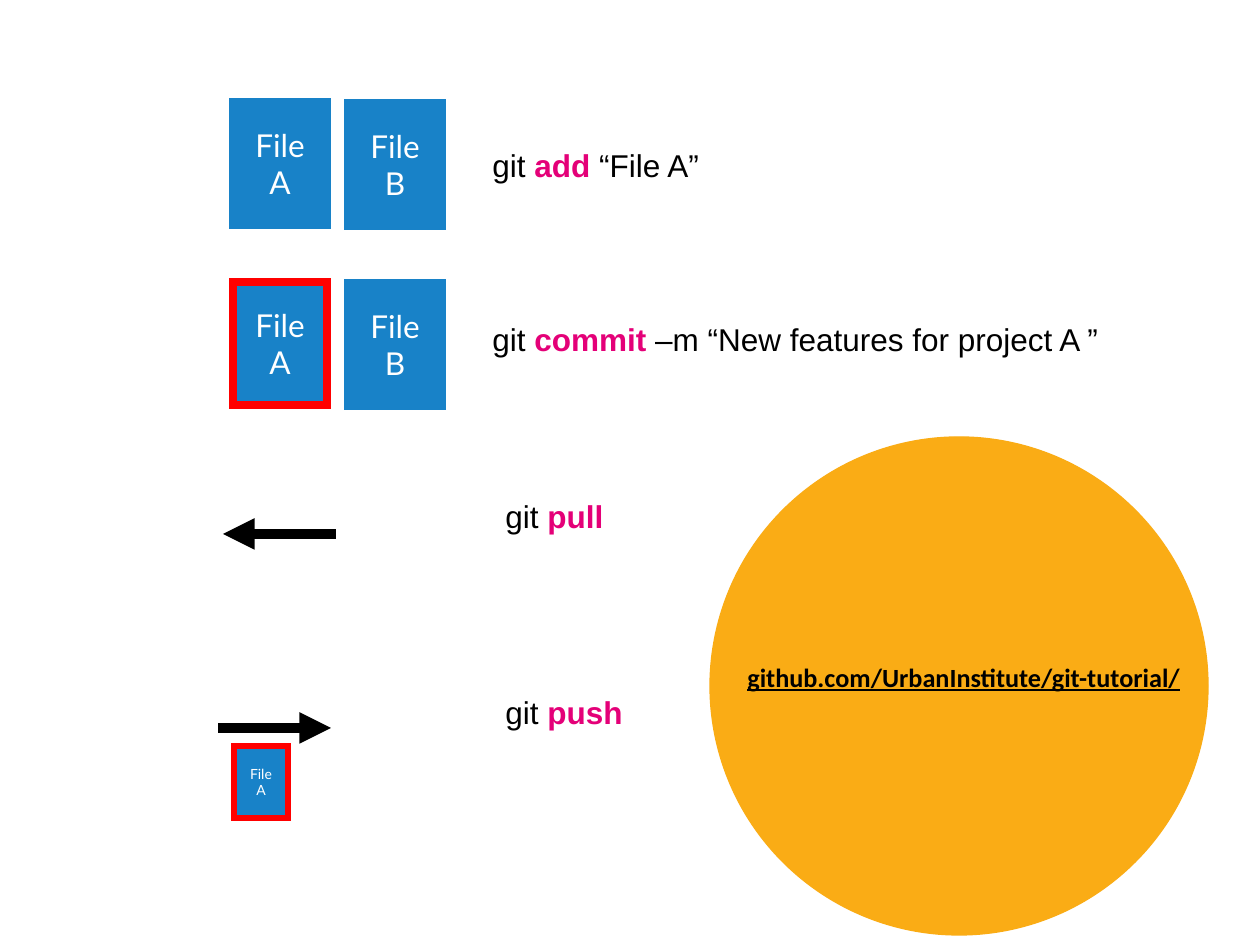
import pptx
import pptx.dml.color
import pptx.enum.shapes
import pptx.enum.text
import pptx.oxml
import pptx.oxml.ns
import pptx.util

EMU_PER_PX = 914400 / 126
BLUE, RED, ORANGE, PINK = "1882C8", "FF0000", "FAAC15", "E40078"
BLACK, WHITE = "000000", "FFFFFF"
SHAPES = pptx.enum.shapes.MSO_SHAPE


def px(length):
    return pptx.util.Emu(round(length * EMU_PER_PX))


def color(hex_string):
    return pptx.dml.color.RGBColor.from_string(hex_string)


def add_xml(parent, tag, **attributes):
    """Append an empty DrawingML element to parent."""
    element = pptx.oxml.parse_xml(f"<a:{tag} {pptx.oxml.ns.nsdecls('a')}/>")
    for name, value in attributes.items():
        element.set(name, value)
    parent.append(element)


class SlideBuilder:
    def __init__(self, slide):
        self.slide = slide

    def set_line(self, line, line_color, width):
        line.color.rgb = color(line_color)
        line.width = pptx.util.Pt(width)

    def add_span(self, para, text, text_color=BLACK, **font_format):
        span = para.add_run()
        span.text = text
        span.font.color.rgb = color(text_color)
        for name, value in font_format.items():
            setattr(span.font, name, value)

    def shape(self, kind, at, fill, line_color, width):
        shape = self.slide.shapes.add_shape(kind, *map(px, at))
        shape.shadow.inherit = False
        shape.fill.solid()
        shape.fill.fore_color.rgb = color(fill)
        self.set_line(shape.line, line_color, width)
        add_xml(shape.line._get_or_add_ln(), "miter", lim="800000")
        return shape

    def file(self, name, at, line_color=BLUE, width=4.5, size=18):
        box = self.shape(SHAPES.RECTANGLE, at, BLUE, line_color, width)
        frame = box.text_frame
        frame.word_wrap = True
        frame.vertical_anchor = pptx.enum.text.MSO_ANCHOR.MIDDLE
        para = frame.paragraphs[0]
        para.alignment = pptx.enum.text.PP_ALIGN.CENTER
        self.add_span(para, name, WHITE, name="Lato", size=pptx.util.Pt(size))

    def text(self, at, spans, **font_format):
        """Add one unwrapped line; spans are (text, color, bold)."""
        frame = self.slide.shapes.add_textbox(*map(px, at)).text_frame
        frame.word_wrap = False
        frame.auto_size = pptx.enum.text.MSO_AUTO_SIZE.SHAPE_TO_FIT_TEXT
        for text, text_color, bold in spans:
            self.add_span(frame.paragraphs[0], text, text_color, bold=bold, **font_format)

    def command(self, at, verb, argument=""):
        spans = [("git ", BLACK, False), (verb, PINK, True)]
        if argument:
            spans.append((argument, BLACK, False))
        self.text(at, spans, name="Arial", size=pptx.util.Pt(18))

    def arrow(self, start, end, y):
        arrow = self.slide.shapes.add_connector(
            pptx.enum.shapes.MSO_CONNECTOR.STRAIGHT, px(start), px(y), px(end), px(y))
        self.set_line(arrow.line, BLACK, 6)
        line_element = arrow.line._get_or_add_ln()
        line_element.set("cap", "sq")
        add_xml(line_element, "tailEnd", type="triangle")
        add_xml(arrow._element.spPr, "effectLst")


def main():
    deck = pptx.Presentation()
    deck.slide_width, deck.slide_height = px(1260), px(945)
    builder = SlideBuilder(deck.slides.add_slide(deck.slide_layouts[6]))

    builder.shape(SHAPES.OVAL, (710, 437, 498, 498), ORANGE, ORANGE, 0.75)

    builder.command((480, 140, 234, 50), "add", " “File A”")
    builder.command((480, 314, 638, 50), "commit", " –m “New features for project A ”")
    builder.command((493, 491, 125, 50), "pull")
    builder.command((493, 687, 144, 50), "push")

    for top, outline in ((102, BLUE), (282, RED)):
        builder.file("File A", (233, top, 94, 123), outline)
        builder.file("File B", (348, top + 1, 94, 123))

    arrow_left, arrow_right = 223, 331
    builder.arrow(arrow_right, arrow_left, 534)
    builder.arrow(arrow_left, arrow_right, 728)

    builder.text((735, 655, 465, 44), [("github.com/UrbanInstitute/git-tutorial/", BLACK, True)],
                 name="Calibri", size=pptx.util.Pt(15), underline=True)
    builder.file("File A", (234, 746, 54, 72), RED, width=3, size=8)

    deck.save("out.pptx")


if __name__ == "__main__":
    main()
